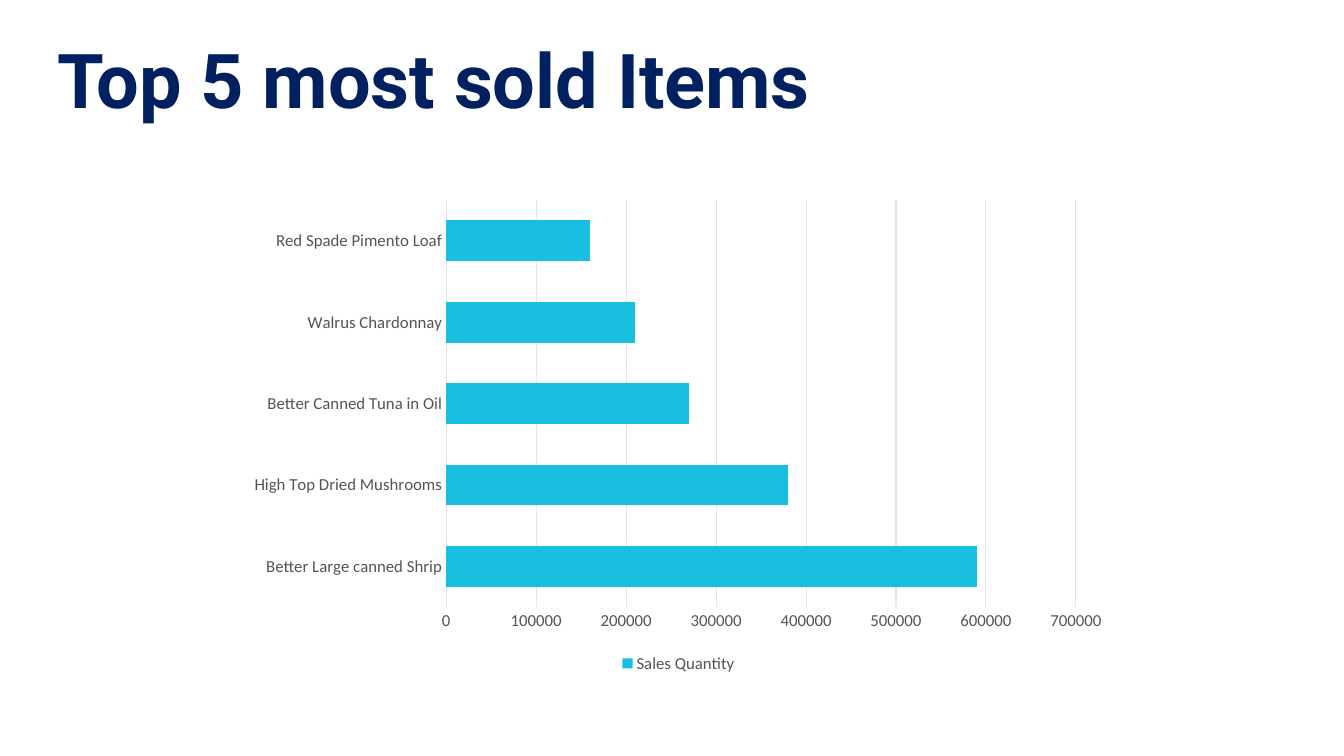
import lxml.etree
import pptx
import pptx.chart.data
import pptx.dml.color
import pptx.enum.chart
import pptx.enum.text
import pptx.oxml.ns
import pptx.util
from dataclasses import dataclass


@dataclass(frozen=True)
class Theme:
    title_font: str = "Roboto"
    body_font: str = "Calibri"
    title_size: int = 54
    label_size: int = 12
    navy: str = "002060"
    cyan: str = "19BFE0"
    grey: str = "545454"
    grid: str = "E5E5E5"
    grid_width: float = 0.75


def set_font(font, name, size, color):
    font.name = name
    font.size = pptx.util.Pt(size)
    font.color.rgb = pptx.dml.color.RGBColor.from_string(color)


def set_line(line):
    line.color.rgb = pptx.dml.color.RGBColor.from_string(theme.grid)
    line.width = pptx.util.Pt(theme.grid_width)


theme = Theme()
sales = {
    "Better Large canned Shrip": 590000,
    "High Top Dried Mushrooms": 380000,
    "Better Canned Tuna in Oil": 270000,
    "Walrus Chardonnay": 210000,
    "Red Spade Pimento Loaf": 160000,
}

prs = pptx.Presentation()
prs.slide_width = pptx.util.Inches(13.33)
prs.slide_height = pptx.util.Inches(7.5)
s = prs.slides.add_slide(prs.slide_layouts[5])

# Title
title = s.shapes.title
title.left, title.top, title.width, title.height = map(
    pptx.util.Inches, (0.57, 0.33, 8.07, 0.91))
tf = title.text_frame
tf.margin_left = tf.margin_top = tf.margin_right = tf.margin_bottom = 0
tf.vertical_anchor = pptx.enum.text.MSO_ANCHOR.TOP
tf.auto_size = pptx.enum.text.MSO_AUTO_SIZE.NONE
p = tf.paragraphs[0]
p.alignment = pptx.enum.text.PP_ALIGN.LEFT
r = p.add_run()
r.text = "Top 5 most sold Items"
r.font.bold = True
set_font(r.font, theme.title_font, theme.title_size, theme.navy)

# Bar chart
data = pptx.chart.data.CategoryChartData()
data.categories = list(sales)
data.add_series("Sales Quantity", list(sales.values()))
chart = s.shapes.add_chart(
    pptx.enum.chart.XL_CHART_TYPE.BAR_CLUSTERED,
    *map(pptx.util.Inches, (2.35, 1.89, 8.76, 4.83)), data).chart
chart.has_title = False
set_font(chart.font, theme.body_font, theme.label_size, theme.grey)

plot = chart.plots[0]
plot.gap_width = 100
plot.vary_by_categories = False
fill = plot.series[0].format.fill
fill.solid()
fill.fore_color.rgb = pptx.dml.color.RGBColor.from_string(theme.cyan)

cat_axis, val_axis = chart.category_axis, chart.value_axis
for axis in (cat_axis, val_axis):
    axis.major_tick_mark = axis.minor_tick_mark = pptx.enum.chart.XL_TICK_MARK.NONE
    set_font(axis.tick_labels.font, theme.body_font, theme.label_size, theme.grey)
set_line(cat_axis.format.line)
val_axis.format.line.fill.background()
val_axis.has_major_gridlines = True
set_line(val_axis.major_gridlines.format.line)
val_axis.minimum_scale = 0
val_axis.maximum_scale = 700000
val_axis.major_unit = 100000
val_axis.tick_labels.number_format = "0"
val_axis.tick_labels.number_format_is_linked = False

chart.has_legend = True
chart.legend.position = pptx.enum.chart.XL_LEGEND_POSITION.BOTTOM
chart.legend.include_in_layout = False
set_font(chart.legend.font, theme.body_font, theme.label_size, theme.grey)

# Plot area as shares of the chart frame
qn = pptx.oxml.ns.qn
plot_area = chart.element.find(".//" + qn("c:plotArea"))
for old in plot_area.findall(qn("c:layout")):
    plot_area.remove(old)
layout = lxml.etree.Element(qn("c:layout"))
plot_area.insert(0, layout)
manual = lxml.etree.SubElement(layout, qn("c:manualLayout"))
for tag, val in (("layoutTarget", "inner"), ("xMode", "edge"), ("yMode", "edge"),
                 ("x", "0.237"), ("y", "0.02"), ("w", "0.713"), ("h", "0.836")):
    lxml.etree.SubElement(manual, qn("c:" + tag)).set("val", val)

prs.save("out.pptx")
